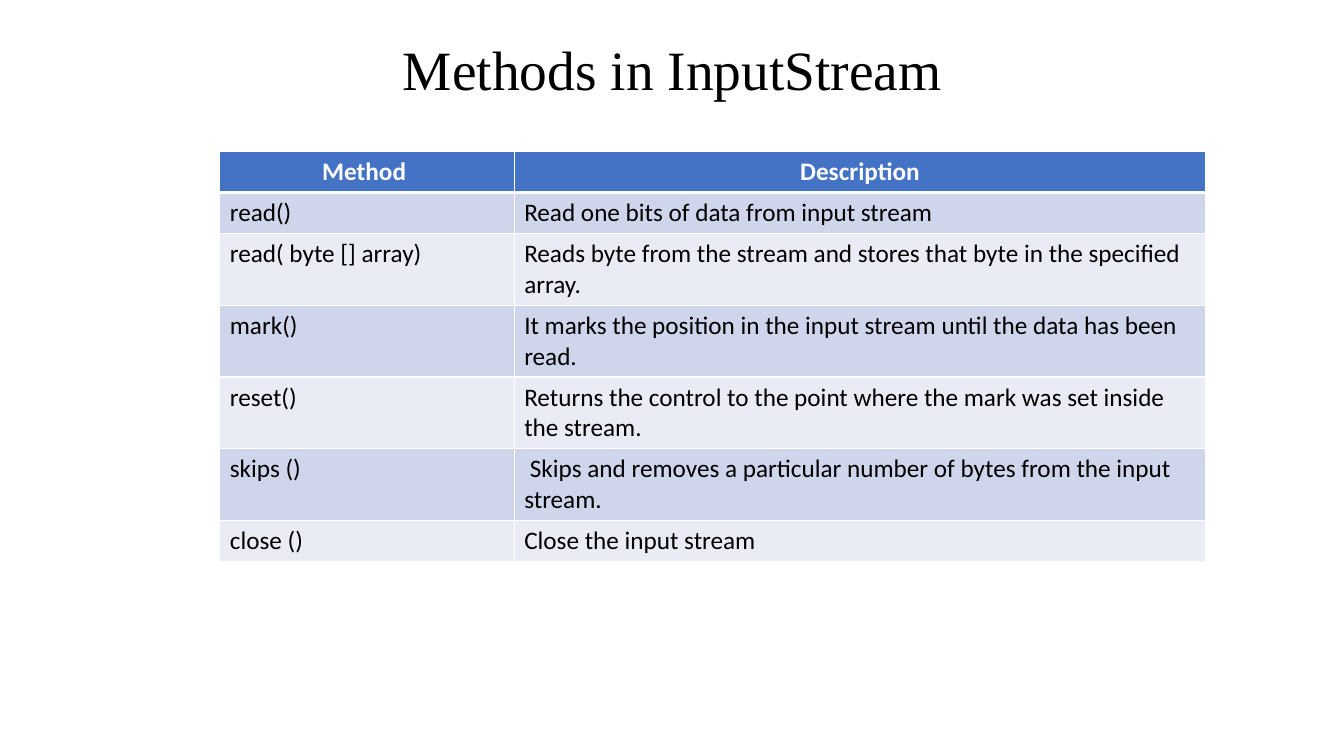
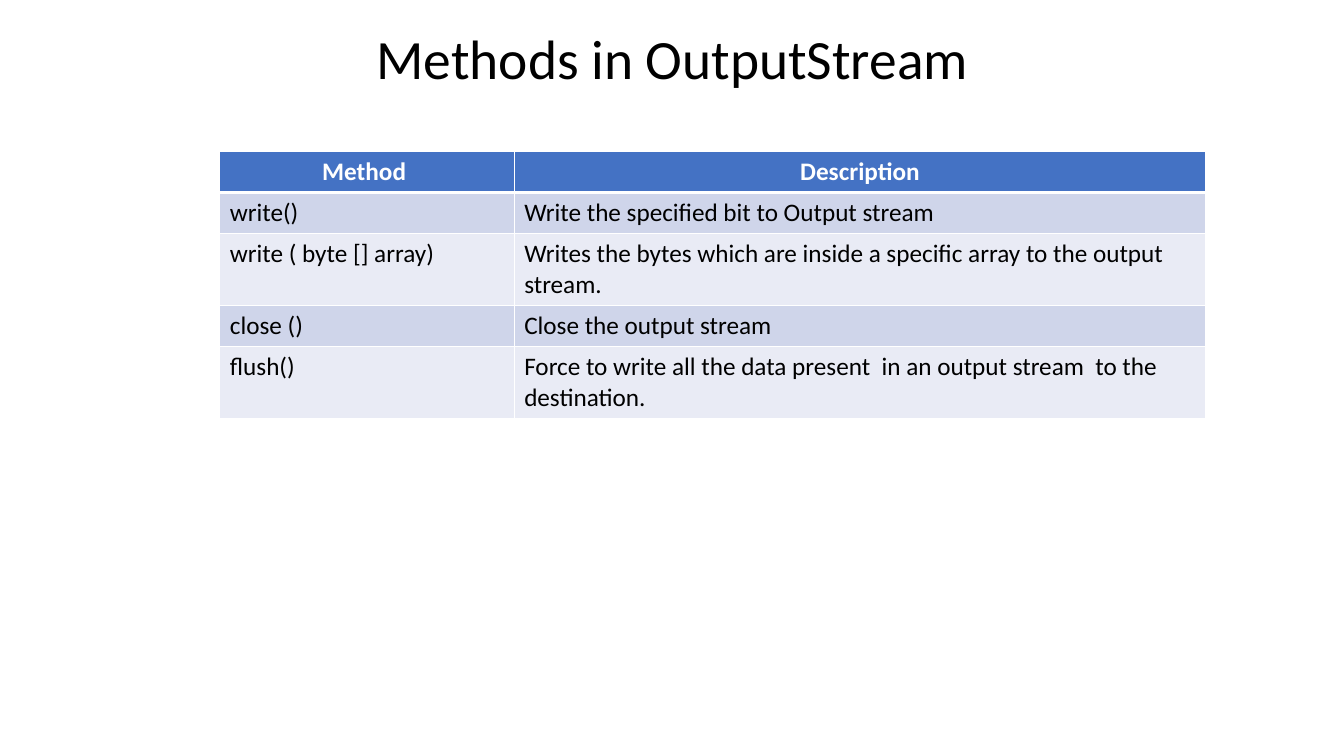
from dataclasses import dataclass

from lxml import etree
from pptx import Presentation
from pptx.dml.color import RGBColor
from pptx.enum.text import MSO_ANCHOR, MSO_AUTO_SIZE, PP_ALIGN
from pptx.oxml.ns import qn
from pptx.util import Inches, Pt

CENTER, LEFT = PP_ALIGN.CENTER, PP_ALIGN.LEFT
MIDDLE = MSO_ANCHOR.MIDDLE
NO_AUTOFIT = MSO_AUTO_SIZE.NONE
TITLE_ONLY = 5


@dataclass(frozen=True)
class Theme:
    text: str = "000000"
    white: str = "FFFFFF"
    header: str = "4472C4"
    bands: tuple = ("CFD5EA", "E9EBF5")
    body_font: str = "Calibri"
    serif_font: str = "Times New Roman"
    title_size: float = 39.6
    table_size: float = 18
    rule: float = 1
    header_rule: float = 3


THEME = Theme()
HEADINGS = ("Method ", "Description")
COLUMN_WIDTHS = (2.92, 6.86)
ROW_HEIGHT = 0.41

INPUT_METHODS = [
    ("read()", "Read one bits of data from input stream"),
    ("read( byte [] array)",
     "Reads byte from the stream and stores that byte in the specified array."),
    ("mark()",
     "It marks the position in the input stream until the data has been read."),
    ("reset()",
     "Returns the control to the point where the mark was set inside the stream."),
    ("skips ()",
     " Skips and removes a particular number of bytes from the input stream."),
    ("close ()", "Close the input stream"),
]
OUTPUT_METHODS = [
    ("write()", "Write the specified bit to Output stream"),
    ("write ( byte [] array)",
     "Writes the bytes which are inside a specific array to the output stream."),
    ("close ()", "Close the output stream"),
    ("flush()",
     "Force to write all the data present  in an output stream  to the destination."),
]


def write_text(tf, text, *, size, font=THEME.body_font, color=THEME.text,
               bold=False, align=LEFT, line_spacing=None):
    p = tf.paragraphs[0]
    p.alignment = align
    p.line_spacing = line_spacing
    r = p.add_run()
    r.text = text
    r.font.size = Pt(size)
    r.font.name = font
    r.font.bold = bold
    r.font.color.rgb = RGBColor.from_string(color)


def add_title(s, text, top, height, font):
    title = s.shapes.title
    title.left, title.top = Inches(0.92), Inches(top)
    title.width, title.height = Inches(11.5), Inches(height)
    tf = title.text_frame
    tf.word_wrap = True
    tf.auto_size = NO_AUTOFIT
    tf.vertical_anchor = MIDDLE
    write_text(tf, text, size=THEME.title_size, font=font, align=CENTER,
               line_spacing=0.9)


def set_borders(cell, top, bottom):
    """Draw white borders; call before filling, as the schema puts lines first."""
    tc_pr = cell._tc.get_or_add_tcPr()
    widths = {"L": THEME.rule, "R": THEME.rule, "T": top, "B": bottom}
    for side, width in widths.items():
        ln = etree.SubElement(tc_pr, qn(f"a:ln{side}"), w=str(Pt(width)))
        fill = etree.SubElement(ln, qn("a:solidFill"))
        etree.SubElement(fill, qn("a:srgbClr"), val=THEME.white)


def format_cell(cell, text, row):
    is_header = row == 0
    set_borders(cell,
                top=THEME.header_rule if row == 1 else THEME.rule,
                bottom=THEME.header_rule if is_header else THEME.rule)
    color = THEME.header if is_header else THEME.bands[(row - 1) % 2]
    cell.fill.solid()
    cell.fill.fore_color.rgb = RGBColor.from_string(color)
    write_text(cell.text_frame, text, size=THEME.table_size, bold=is_header,
               color=THEME.white if is_header else THEME.text,
               align=CENTER if is_header else LEFT)


def add_method_table(s, methods):
    rows = [HEADINGS, *methods]
    table = s.shapes.add_table(
        len(rows), len(HEADINGS), Inches(2.18), Inches(1.5),
        Inches(sum(COLUMN_WIDTHS)), Inches(ROW_HEIGHT * len(rows))).table
    for column, width in zip(table.columns, COLUMN_WIDTHS):
        column.width = Inches(width)
    for i, texts in enumerate(rows):
        table.rows[i].height = Inches(ROW_HEIGHT)
        for j, text in enumerate(texts):
            format_cell(table.cell(i, j), text, i)


def add_method_slide(prs, title, methods, title_top, title_height, title_font):
    s = prs.slides.add_slide(prs.slide_layouts[TITLE_ONLY])
    add_title(s, title, title_top, title_height, title_font)
    add_method_table(s, methods)


def main():
    prs = Presentation()
    prs.slide_width, prs.slide_height = Inches(13.33), Inches(7.5)
    add_method_slide(prs, "Methods in InputStream", INPUT_METHODS,
                     0.4, 0.64, THEME.serif_font)
    add_method_slide(prs, "Methods in OutputStream", OUTPUT_METHODS,
                     0.25, 0.72, THEME.body_font)
    prs.save("out.pptx")


if __name__ == "__main__":
    main()
